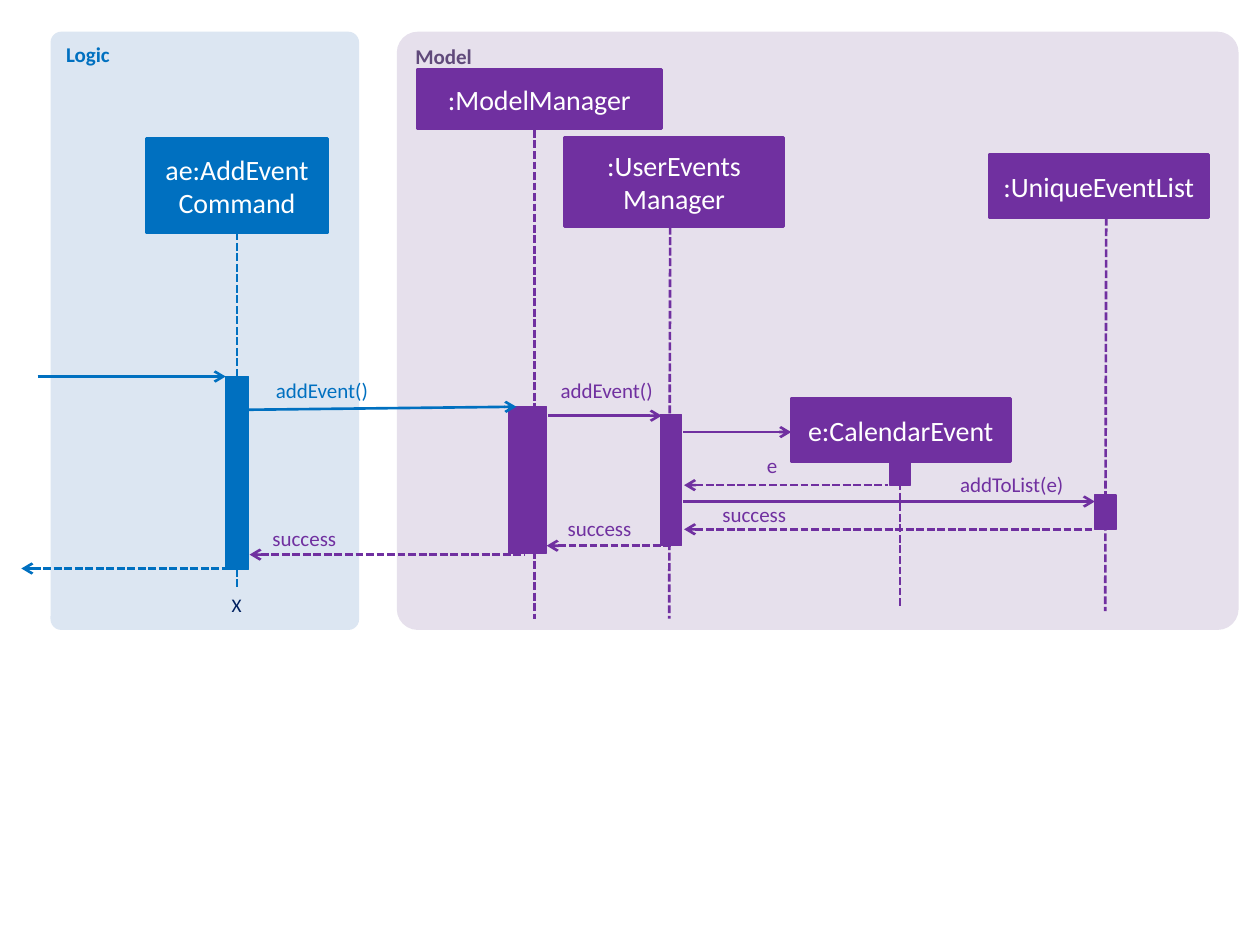
from dataclasses import dataclass
from pptx import Presentation
from pptx.dml.color import RGBColor as Color
from pptx.enum.dml import MSO_LINE as Dash
from pptx.enum.shapes import MSO_CONNECTOR as Conn, MSO_SHAPE as Form
from pptx.enum.text import MSO_ANCHOR as Anchor, MSO_AUTO_SIZE as Auto, PP_ALIGN as Align
from pptx.oxml.ns import qn
from pptx.util import Cm, Pt
from lxml.etree import SubElement


@dataclass(frozen=True)
class Theme:
    font: str = "Calibri"
    blue: str = "0070C0"
    purple: str = "7030A0"
    navy: str = "002060"
    white: str = "FFFFFF"
    title: int = 12
    head: int = 16
    label: int = 12
    mark: int = 11
    line: float = 1.5
    edge: float = 0.75


look = Theme()
BLUE, PURPLE = look.blue, look.purple

panels = [
    ("Model", 8, 16.97, "E6E0EC", "604A7B"),
    ("Logic", 1.02, 6.22, "DCE6F2", BLUE),
]
lives = [
    (4.78, 4.47, 4.78, 11.84, BLUE),
    (10.77, 2.62, 10.77, 12.47, PURPLE),
    (13.51, 4.57, 13.49, 12.47, PURPLE),
    (22.3, 4.39, 22.28, 12.32, PURPLE),
    (18.14, 9.3, 18.14, 12.24, PURPLE),
]
bars = [
    (4.55, 7.59, 0.46, 3.89, BLUE),
    (10.26, 8.2, 0.76, 2.95, PURPLE),
    (13.31, 8.36, 0.43, 2.64, PURPLE),
    (22.07, 9.98, 0.43, 0.69, PURPLE),
    (17.93, 8.99, 0.43, 0.79, PURPLE),
]
heads = [
    ("ae:AddEvent\vCommand", 2.95, 2.79, 3.66, 1.91, BLUE),
    (":ModelManager", 8.41, 1.4, 4.93, 1.19, PURPLE),
    (":UserEvents\nManager", 11.38, 2.77, 4.42, 1.8, PURPLE),
    (":UniqueEventList", 19.94, 3.12, 4.42, 1.27, PURPLE),
    ("e:CalendarEvent", 15.95, 8.03, 4.42, 1.27, PURPLE),
]
calls = [
    (0.76, 7.59, 4.55, 7.59, BLUE),
    (5, 8.26, 10.41, 8.2, BLUE),
    (11.05, 8.38, 13.34, 8.38, PURPLE),
    (13.77, 8.71, 15.95, 8.71, PURPLE),
    (13.77, 10.11, 22.07, 10.11, PURPLE),
]
replies = [
    (0.43, 11.46, 4.55, 11.46, BLUE),
    (5.03, 11.18, 10.57, 11.18, PURPLE),
    (11.02, 11, 13.56, 11, PURPLE),
    (13.79, 9.78, 17.91, 9.78, PURPLE),
    (13.79, 10.67, 22.05, 10.67, PURPLE),
]
labels = [
    ("addEvent()", 5.26, 7.62, 2.16, BLUE),
    ("addEvent()", 11, 7.62, 2.16, PURPLE),
    ("e", 15.34, 9.12, 0.33, PURPLE),
    ("addToList(e)", 19.28, 9.5, 2.16, PURPLE),
    ("success", 13.69, 10.11, 2.16, PURPLE),
    ("success", 10.57, 10.39, 2.16, PURPLE),
    ("success", 4.62, 10.59, 2.16, PURPLE),
]

deck = Presentation()
deck.slide_width, deck.slide_height = Cm(25.4), Cm(19.05)
slide = deck.slides.add_slide(deck.slide_layouts[6])


def write(shape, text, size, color, align, anchor=Anchor.TOP, bold=False):
    frame = shape.text_frame
    frame.word_wrap = True
    frame.vertical_anchor = anchor
    frame.text = text
    for para in frame.paragraphs:
        para.alignment = align
        font = para.font
        font.name, font.size, font.bold = look.font, Pt(size), bold
        font.color.rgb = Color.from_string(color)
    return frame


def block(form, place, fill, edge=None):
    shape = slide.shapes.add_shape(form, *map(Cm, place))
    shape.shadow.inherit = False
    shape.fill.solid()
    shape.fill.fore_color.rgb = Color.from_string(fill)
    if edge:
        shape.line.color.rgb = Color.from_string(fill)
        shape.line.width = Pt(edge)
    else:
        shape.line.fill.background()
    return shape


def link(ends, color, dashed=False, tip=None):
    wire = slide.shapes.add_connector(Conn.STRAIGHT, *map(Cm, ends))
    wire.line.color.rgb = Color.from_string(color)
    wire.line.width = Pt(look.line)
    if dashed:
        wire.line.dash_style = Dash.SQUARE_DOT
    props = wire.element.spPr
    if tip:
        SubElement(props.find(qn("a:ln")), qn(tip), type="arrow")
    SubElement(props, qn("a:effectLst"))


def note(text, place, size, color, align):
    box = slide.shapes.add_textbox(*map(Cm, place))
    frame = write(box, text, size, color, align)
    frame.auto_size = Auto.SHAPE_TO_FIT_TEXT
    return frame


for text, left, width, fill, color in panels:
    panel = block(Form.ROUNDED_RECTANGLE, (left, 0.64, width, 12.06), fill)
    panel.adjustments[0] = 0.035
    write(panel, text, look.title, color, Align.LEFT, bold=True)

for *ends, color in lives:
    link(ends, color, dashed=True)

for *place, color in bars:
    block(Form.RECTANGLE, place, color, look.edge)

for text, *place, color in heads:
    head = block(Form.RECTANGLE, place, color, look.line)
    write(head, text, look.head, look.white, Align.CENTER, Anchor.MIDDLE)

for *ends, color in calls:
    link(ends, color, tip="a:tailEnd")

for *ends, color in replies:
    link(ends, color, dashed=True, tip="a:headEnd")

for text, left, top, width, color in labels:
    frame = note(text, (left, top, width, 0.51), look.label, color, Align.RIGHT)
    frame.margin_left = frame.margin_right = frame.margin_top = frame.margin_bottom = 0

mark = note("X", (4.42, 11.84, 0.71, 0.74), look.mark, look.navy, Align.LEFT)
mark.word_wrap = False

deck.save("out.pptx")
